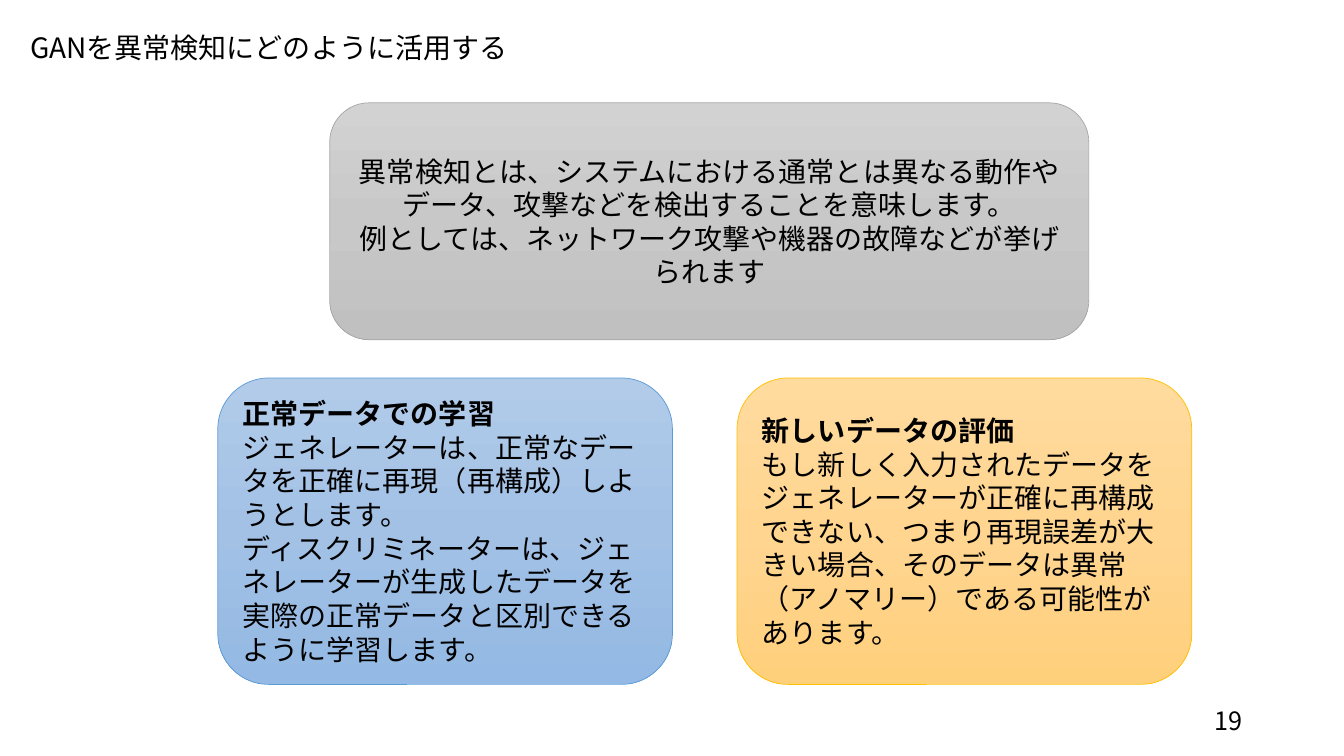
from copy import deepcopy

from lxml import etree
from pptx import Presentation
from pptx.dml.color import RGBColor
from pptx.enum.shapes import MSO_SHAPE
from pptx.enum.text import MSO_ANCHOR, PP_ALIGN
from pptx.oxml.ns import qn
from pptx.util import Inches, Pt

ROUND = MSO_SHAPE.ROUNDED_RECTANGLE
MIDDLE, TOP = MSO_ANCHOR.MIDDLE, MSO_ANCHOR.TOP
LEFT, CENTER, RIGHT = PP_ALIGN.LEFT, PP_ALIGN.CENTER, PP_ALIGN.RIGHT

FONT = "Noto Sans CJK JP"
BLACK = RGBColor(0x00, 0x00, 0x00)
GRAY = RGBColor(0xA5, 0xA5, 0xA5)
BLUE = RGBColor(0x5B, 0x9B, 0xD5)
GOLD = RGBColor(0xFF, 0xC0, 0x00)
GRAYS = (RGBColor(0xD2, 0xD2, 0xD2), RGBColor(0xC8, 0xC8, 0xC8),
         RGBColor(0xC0, 0xC0, 0xC0))
BLUES = (RGBColor(0xB1, 0xCB, 0xE9), RGBColor(0xA3, 0xC1, 0xE5),
         RGBColor(0x93, 0xB9, 0xE4))
GOLDS = (RGBColor(0xFF, 0xDB, 0x9E), RGBColor(0xFF, 0xD5, 0x90),
         RGBColor(0xFF, 0xD0, 0x7C))

CARD_TOP, CARD_W, CARD_H = 3.75, 4.51, 3.04

TOPIC = ("異常検知とは、システムにおける通常とは異なる動作やデータ、"
         "攻撃などを検出することを意味します。\n"
         "例としては、ネットワーク攻撃や機器の故障などが挙げられます")
TRAIN = ("ジェネレーターは、正常なデータを正確に再現（再構成）しようとします。\n"
         "ディスクリミネーターは、ジェネレーターが生成したデータを"
         "実際の正常データと区別できるように学習します。")
JUDGE = ("もし新しく入力されたデータをジェネレーターが正確に再構成できない、"
         "つまり再現誤差が大きい場合、そのデータは異常（アノマリー）である"
         "可能性があります。")


def write(shape, body, head=None, align=LEFT, anchor=MIDDLE, size=20):
    """Fill the shape with an optional bold heading and a body paragraph."""
    frame = shape.text_frame
    frame.word_wrap = True
    frame.vertical_anchor = anchor
    lines = [(head, True), (body, False)] if head else [(body, False)]
    for i, (text, bold) in enumerate(lines):
        para = frame.add_paragraph() if i else frame.paragraphs[0]
        para.text = text
        para.alignment = align
        font = para.font
        font.name, font.size, font.bold = FONT, Pt(size), bold
        font.color.rgb = BLACK
        props = para._p.pPr.find(qn("a:defRPr"))
        etree.SubElement(props, qn("a:ea")).set("typeface", FONT)


def add_label(slide, box, text, **style):
    label = slide.shapes.add_textbox(*map(Inches, box))
    write(label, text, **style)


def shade(shape, colors):
    """Apply an evenly spaced gradient that runs from top to bottom."""
    fill = shape.fill
    fill.gradient()
    stops = shape._element.spPr.find(".//" + qn("a:gsLst"))
    while len(stops) < len(colors):
        stops.append(deepcopy(stops[-1]))
    for i, (stop, color) in enumerate(zip(fill.gradient_stops, colors)):
        stop.position = i / (len(colors) - 1)
        stop.color.rgb = color
    fill.gradient_angle = 270


def add_card(slide, box, colors, edge, body, **style):
    card = slide.shapes.add_shape(ROUND, *map(Inches, box))
    card.shadow.inherit = False
    shade(card, colors)
    card.line.color.rgb = edge
    card.line.width = Pt(0.5)
    write(card, body, **style)


def main():
    prs = Presentation()
    prs.slide_width, prs.slide_height = Inches(13.33), Inches(7.5)
    slide = prs.slides.add_slide(prs.slide_layouts[6])

    add_label(slide, (9.42, 6.95, 3, 0.4), "19", align=RIGHT, size=18)
    add_label(slide, (0.2, 0.25, 7.83, 0.44),
              "GANを異常検知にどのように活用する", anchor=TOP)
    add_card(slide, (3.27, 1.02, 7.53, 2.35), GRAYS, GRAY, TOPIC, align=CENTER)
    cards = (
        (2.16, BLUES, BLUE, "正常データでの学習", TRAIN),
        (7.31, GOLDS, GOLD, "新しいデータの評価", JUDGE),
    )
    for left, colors, edge, head, body in cards:
        add_card(slide, (left, CARD_TOP, CARD_W, CARD_H), colors, edge, body,
                 head=head)

    prs.save("out.pptx")


if __name__ == "__main__":
    main()
